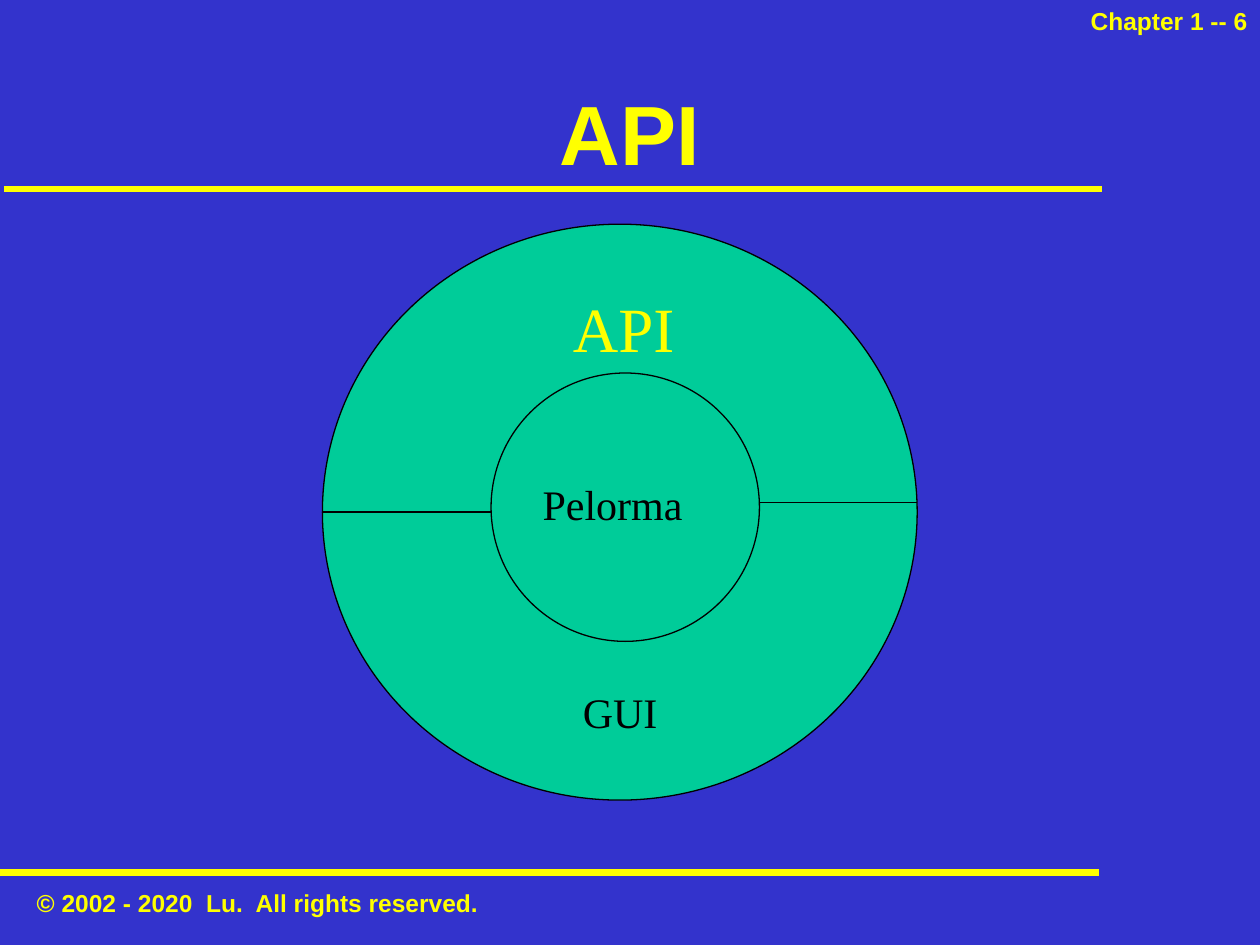
from lxml.etree import SubElement
from pptx import Presentation
from pptx.dml.color import RGBColor
from pptx.enum.shapes import MSO_CONNECTOR as Link, MSO_SHAPE as Preset
from pptx.enum.text import MSO_ANCHOR as Anchor, PP_ALIGN as Align
from pptx.oxml.ns import qn
from pptx.util import Cm, Pt

COLORS = {"back": "3333CC", "accent": "FFFF00", "ring": "00CC99", "ink": "000000"}
SANS = {"name": "Arial", "bold": True}
SERIF = {"name": "Times New Roman", "bold": False}


def color(name):
    """Return the named colour."""
    return RGBColor.from_string(COLORS[name])


def write(shape, text, size, ink, face, align=Align.LEFT, anchor=Anchor.TOP):
    """Fill a shape with one formatted paragraph."""
    frame = shape.text_frame
    frame.word_wrap = True
    frame.vertical_anchor = anchor
    para = frame.paragraphs[0]
    para.alignment = align
    span = para.add_run()
    span.text = text
    for key, value in {**face, "size": Pt(size)}.items():
        setattr(span.font, key, value)
    span.font.color.rgb = color(ink)


def add_label(page, box, *content):
    """Add a text box at a box given in centimetres."""
    write(page.shapes.add_textbox(*map(Cm, box)), *content)


def add_rule(page, left, right, y, ink, width):
    """Draw a level line without a shadow."""
    rule = page.shapes.add_connector(Link.STRAIGHT, Cm(left), Cm(y), Cm(right), Cm(y))
    rule.line.color.rgb = color(ink)
    rule.line.width = Pt(width)
    SubElement(rule.element.spPr, qn("a:effectLst"))


def add_disc(page, box):
    """Draw an outlined ellipse at a box given in centimetres."""
    disc = page.shapes.add_shape(Preset.OVAL, *map(Cm, box))
    disc.shadow.inherit = False
    disc.fill.solid()
    disc.fill.fore_color.rgb = color("ring")
    disc.line.color.rgb = color("ink")
    disc.line.width = Pt(0.75)


def build_header(page, box):
    """Place the page mark, the title and the rule beneath it."""
    left, top, width, height = box
    mark_width = 4.01
    add_label(page, (left + width - mark_width, top, mark_width, 1.07),
              "Chapter 1 -- 6", 14, "accent", SANS, Align.RIGHT)
    title = page.shapes.title
    place = (left + 1.9, top + 1.07, width - 3.8, 3.17)
    for key, value in zip(("left", "top", "width", "height"), place):
        setattr(title, key, Cm(value))
    write(title, "API", 48, "accent", SANS, Align.CENTER, Anchor.MIDDLE)
    add_rule(page, left + 0.08, left + 22.22, top + height, "accent", 4)


def build_footer(page, box):
    """Place the closing rule and the rights notice."""
    left, top, width, height = box
    add_rule(page, left, left + width, top, "accent", 4)
    add_label(page, (left + 0.43, top + 0.2, 9.53, 0.86),
              "© 2002 - 2020  Lu.  All rights reserved.", 14, "accent", SANS, Align.CENTER)


def build_rings(page, box):
    """Draw the core inside a ring split into two labelled halves."""
    left, top, width, height = box
    core_left, core_top, core_size = 3.4, 3.0, 5.41
    add_disc(page, box)
    add_disc(page, (left + core_left, top + core_top, core_size, core_size))
    spokes = [(0, core_left, height / 2), (core_left + core_size, width, 5.61)]
    for start, end, y in spokes:
        add_rule(page, left + start, left + end, top + y, "ink", 0.75)
    labels = [
        ("GUI", 24, "ink", (5, 9.19, 2.79, 1.27)),
        ("API", 36, "accent", (4.8, 1.19, 2.79, 1.78)),
        ("Pelorma", 24, "ink", (4.19, 5, 4.19, 1.27)),
    ]
    for text, size, ink, (x, y, wide, high) in labels:
        add_label(page, (left + x, top + y, wide, high), text, size, ink, SERIF)


def main():
    """Build the deck and save it."""
    deck = Presentation()
    deck.slide_width, deck.slide_height = Cm(25.4), Cm(19.05)
    page = deck.slides.add_slide(deck.slide_layouts[5])
    page.background.fill.solid()
    page.background.fill.fore_color.rgb = color("back")
    build_header(page, (0, 0, 25.4, 3.81))
    build_footer(page, (0, 17.58, 22.15, 1.47))
    build_rings(page, (6.5, 4.52, 11.99, 11.61))
    deck.save("out.pptx")


if __name__ == "__main__":
    main()
